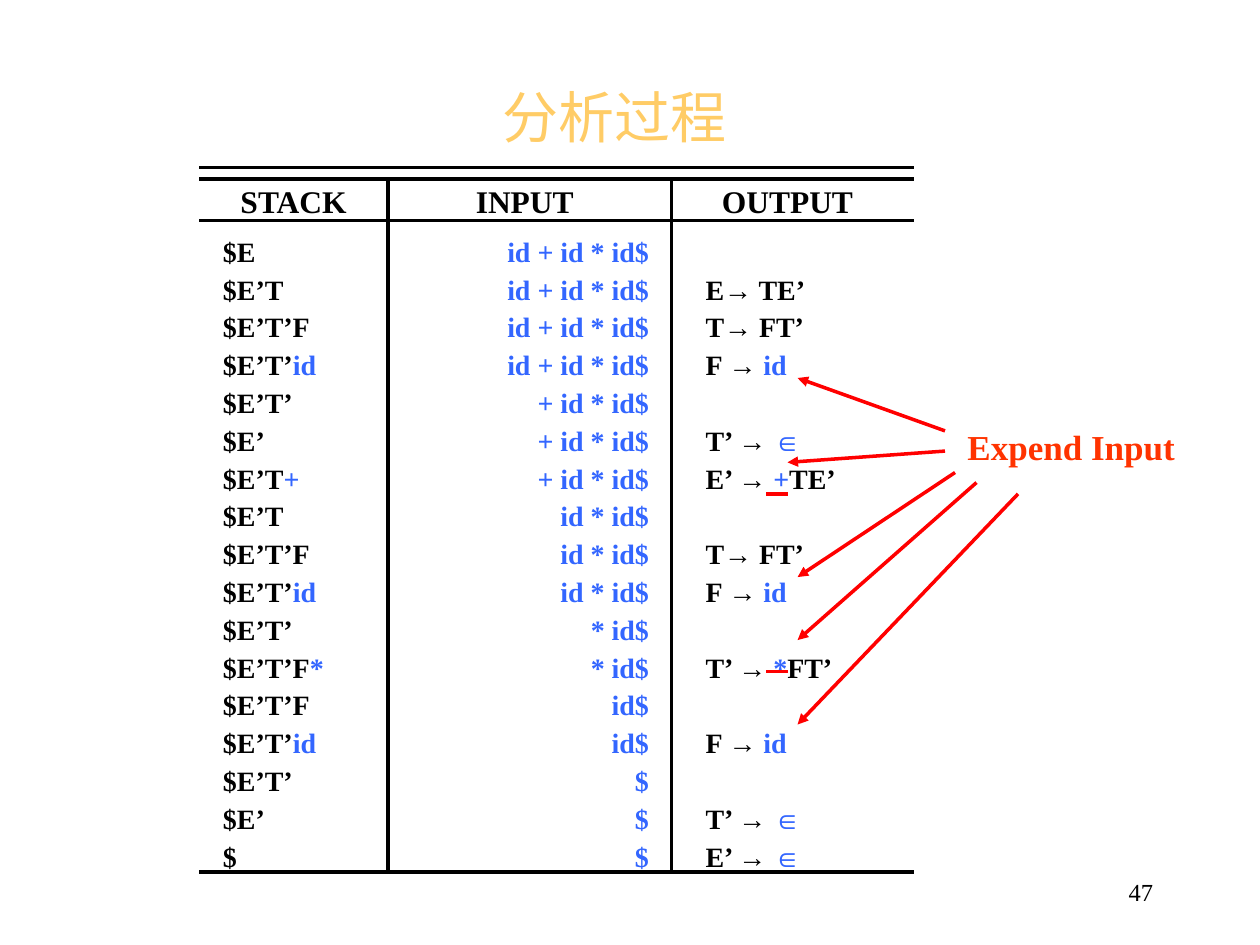
from dataclasses import dataclass
from itertools import groupby

from lxml.etree import SubElement
from pptx import Presentation
from pptx.dml.color import RGBColor
from pptx.enum.shapes import MSO_CONNECTOR
from pptx.enum.text import MSO_ANCHOR, PP_ALIGN
from pptx.oxml.ns import qn
from pptx.util import Inches, Pt


@dataclass(frozen=True)
class Theme:
    serif: str = "Times New Roman"
    sans: str = "Arial"
    black: str = "000000"
    gold: str = "FFCC66"
    blue: str = "3366FF"
    red: str = "FF0000"
    coral: str = "FF3300"
    title: int = 32
    note: int = 20
    head: int = 18
    body: int = 16
    page: int = 14
    rule: int = 2


HEADS = ["STACK", "INPUT", "OUTPUT"]
STEPS = [
    ("$E", "id + id * id$", ""),
    ("$E’T", "id + id * id$", "E→ TE’"),
    ("$E’T’F", "id + id * id$", "T→ FT’"),
    ("$E’T’|id", "id + id * id$", "F → |id"),
    ("$E’T’", "+ id * id$", ""),
    ("$E’", "+ id * id$", "T’ → |∈"),
    ("$E’T|+", "+ id * id$", "E’ → |+|TE’"),
    ("$E’T", "id * id$", ""),
    ("$E’T’F", "id * id$", "T→ FT’"),
    ("$E’T’|id", "id * id$", "F → |id"),
    ("$E’T’", "* id$", ""),
    ("$E’T’F|*", "* id$", "T’ → |*|FT’"),
    ("$E’T’F", "id$", ""),
    ("$E’T’|id", "id$", "F → |id"),
    ("$E’T’", "$", ""),
    ("$E’", "$", "T’ → |∈"),
    ("$", "$", "E’ → |∈"),
]
ARROWS = [
    (7.5, 3.42, 6.33, 3),
    (7.5, 3.58, 6.25, 3.67),
    (7.58, 3.75, 6.33, 4.58),
    (7.75, 3.83, 6.33, 5.08),
    (8.08, 3.92, 6.33, 5.75),
]
LEFT, TOP, RIGHT, BASE = 1.58, 1.42, 7.25, 6.92
SPLITS = [3.08, 5.33]
HEAD, FIRST, STEP = 0.33, 0.4, 0.3


class Deck:
    def __init__(self, theme):
        self.theme = theme
        self.show = Presentation()
        self.show.slide_width = Inches(10)
        self.show.slide_height = Inches(7.5)
        self.slide = self.show.slides.add_slide(self.show.slide_layouts[5])

    def style(self, para, size, color, name=None, bold=False, align=PP_ALIGN.LEFT):
        para.alignment = align
        font = para.font
        font.name = name or self.theme.serif
        font.size = Pt(size)
        font.bold = bold
        font.color.rgb = RGBColor.from_string(color)

    def title(self, text, x, y, w, h):
        box = self.slide.shapes.title
        box.left, box.top, box.width, box.height = map(Inches, (x, y, w, h))
        frame = box.text_frame
        frame.text = text
        frame.vertical_anchor = MSO_ANCHOR.MIDDLE
        self.style(frame.paragraphs[0], self.theme.title, self.theme.gold,
                   self.theme.sans, align=PP_ALIGN.CENTER)

    def label(self, text, x, y, w, h, anchor=MSO_ANCHOR.TOP, **look):
        box = self.slide.shapes.add_textbox(*map(Inches, (x, y, w, h)))
        frame = box.text_frame
        frame.word_wrap = True
        frame.vertical_anchor = anchor
        frame.text = text
        self.style(frame.paragraphs[0], **look)

    def line(self, x1, y1, x2, y2, color, arrow=False):
        line = self.slide.shapes.add_connector(
            MSO_CONNECTOR.STRAIGHT, *map(Inches, (x1, y1, x2, y2)))
        line.line.color.rgb = RGBColor.from_string(color)
        line.line.width = Pt(self.theme.rule)
        if arrow:
            SubElement(line.line._get_or_add_ln(), qn("a:tailEnd"), type="triangle")
        SubElement(line._element.spPr, qn("a:effectLst"))

    def cell(self, cell, text, size, color, align, left, right, base):
        cell.fill.background()
        cell.vertical_anchor = MSO_ANCHOR.BOTTOM
        cell.margin_left, cell.margin_right = Inches(left), Inches(right)
        cell.margin_top, cell.margin_bottom = Inches(0), Inches(base)
        para = cell.text_frame.paragraphs[0]
        self.style(para, size, color, bold=True, align=align)
        for part, chunk in enumerate(text.split("|")):
            for sign, chars in groupby(chunk, lambda c: c in "→∈"):
                run = para.add_run()
                run.text = "".join(chars)
                run.font.name = self.theme.sans if sign else self.theme.serif
                run.font.color.rgb = RGBColor.from_string(
                    self.theme.blue if part % 2 else color)
        if not text:
            SubElement(para._p, qn("a:endParaRPr"), sz=str(size * 100))

    def table(self, heads, steps):
        theme = self.theme
        frame = self.slide.shapes.add_table(
            len(steps) + 1, len(heads), Inches(LEFT), Inches(TOP),
            Inches(RIGHT - LEFT), Inches(HEAD + FIRST + STEP * (len(steps) - 1)))
        grid = frame.table
        grid.first_row = grid.horz_banding = False
        edges = [LEFT, *SPLITS, RIGHT]
        for col, start, end in zip(grid.columns, edges, edges[1:]):
            col.width = Inches(end - start)
        for i, row in enumerate(grid.rows):
            row.height = Inches((HEAD, FIRST)[i] if i < 2 else STEP)
        for j, (text, right) in enumerate(zip(heads, (0, 0.08, 0.08))):
            self.cell(grid.cell(0, j), text, theme.head, theme.black,
                      PP_ALIGN.CENTER, 0, right, 0)
        looks = [
            (theme.black, PP_ALIGN.LEFT, 0.19, 0),
            (theme.blue, PP_ALIGN.RIGHT, 0, 0.18),
            (theme.black, PP_ALIGN.LEFT, 0.27, 0),
        ]
        for i, step in enumerate(steps, 1):
            for j, (text, look) in enumerate(zip(step, looks)):
                self.cell(grid.cell(i, j), text, theme.body, *look, 0.02)


def main():
    theme = Theme()
    deck = Deck(theme)
    deck.title("分析过程", 0.75, 0.67, 8.25, 0.5)
    deck.table(HEADS, STEPS)
    for y in (1.33, TOP, TOP + HEAD, BASE):
        deck.line(LEFT, y, RIGHT, y, theme.black)
    for x in SPLITS:
        deck.line(x, TOP, x, BASE, theme.black)
    deck.label("Expend Input", 7.58, 3.33, 2.08, 0.44,
               size=theme.note, color=theme.coral, bold=True)
    for ends in ARROWS:
        deck.line(*ends, theme.red, arrow=True)
    for y in (3.92, 5.33):
        deck.line(6.08, y, 6.25, y, theme.red)
    deck.label("47", 7.17, 6.83, 2.08, 0.5, MSO_ANCHOR.MIDDLE,
               size=theme.page, color=theme.black, align=PP_ALIGN.RIGHT)
    deck.show.save("out.pptx")


if __name__ == "__main__":
    main()
